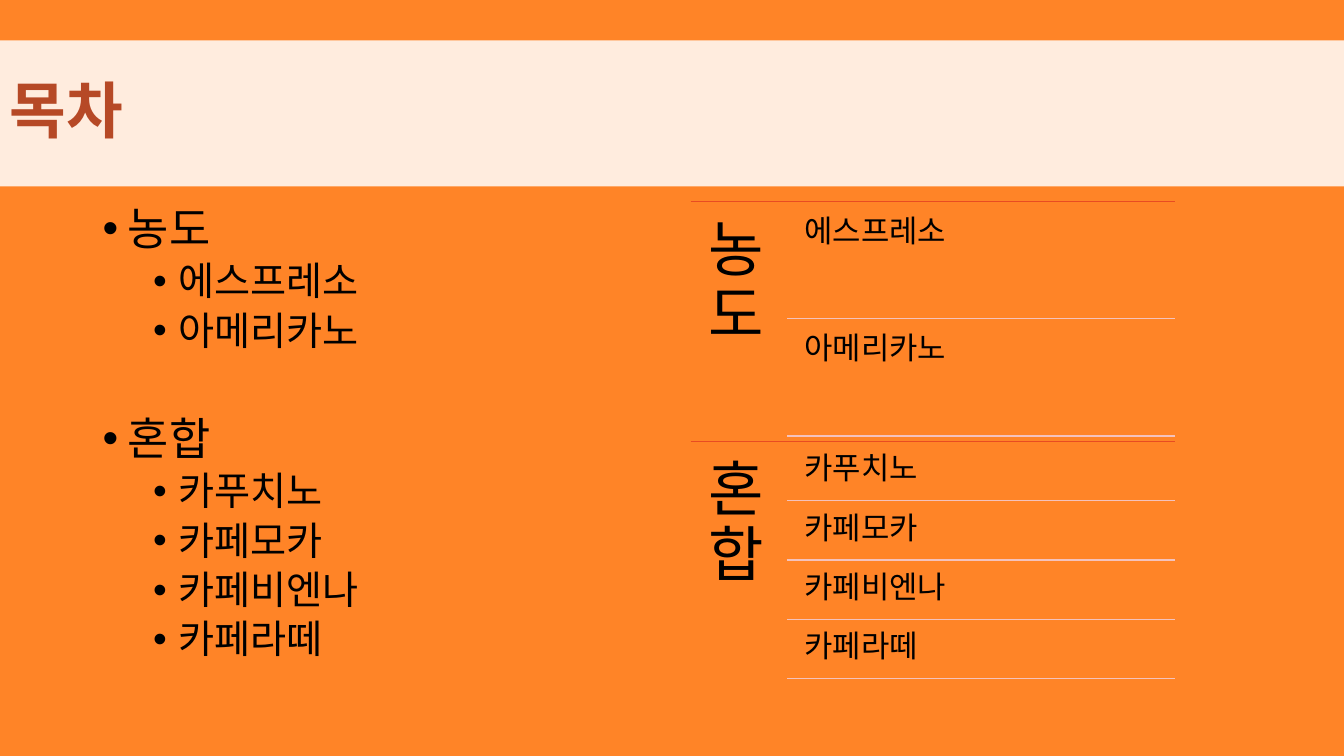
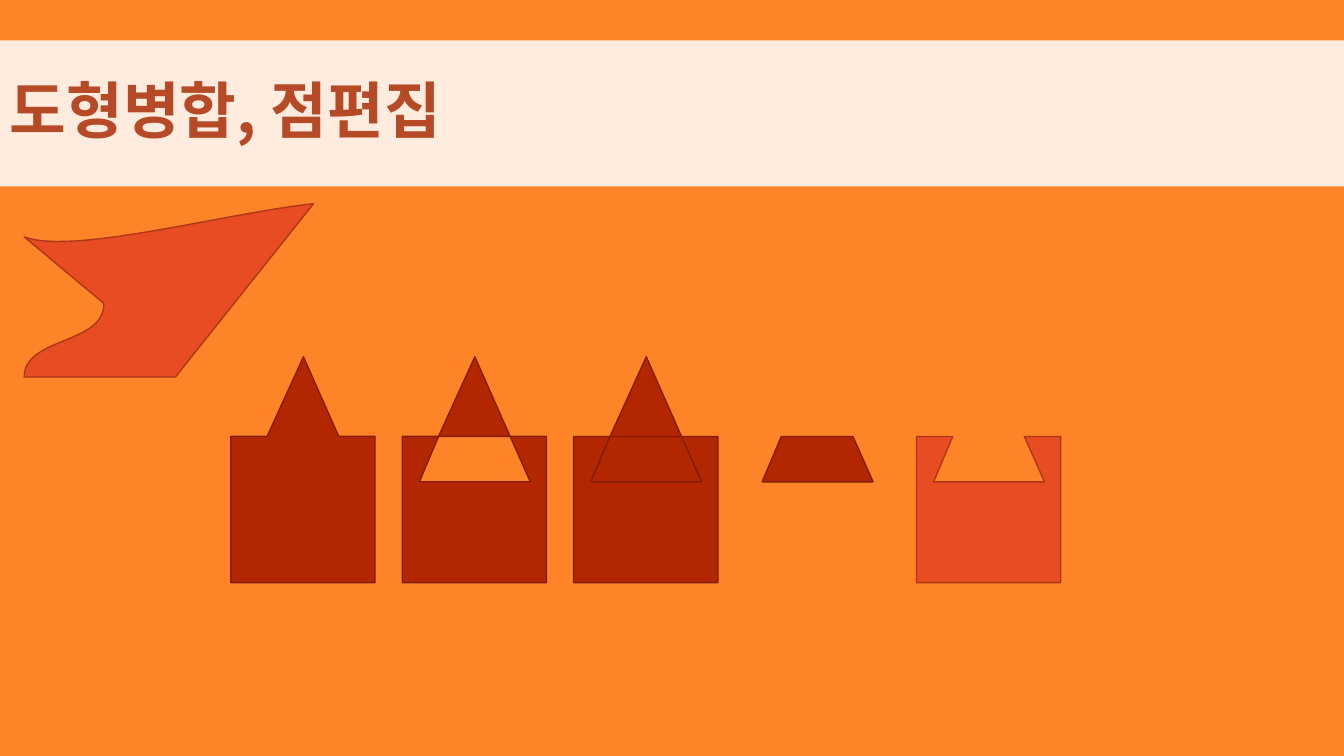
from lxml import etree
from pptx import Presentation
from pptx.dml.color import RGBColor
from pptx.enum import shapes, text
from pptx.oxml import ns
from pptx.util import Inches, Pt

FONT = "Noto Sans CJK KR"
ORANGE = RGBColor(0xFF, 0x84, 0x27)
WHITE = RGBColor(0xFF, 0xFF, 0xFF)
BLACK = RGBColor(0, 0, 0)
RUST = RGBColor(0xB6, 0x49, 0x26)
RED = RGBColor(0xE8, 0x4C, 0x22)
RED_EDGE = RGBColor(0xAC, 0x38, 0x19)
DARK = RGBColor(0xB2, 0x26, 0x00)
DARK_EDGE = RGBColor(0x84, 0x1C, 0x00)
PINK = RGBColor(0xF4, 0xC2, 0xBD)

SECTIONS = [
    ("농도", ["에스프레소", "아메리카노"]),
    ("혼합", ["카푸치노", "카페모카", "카페비엔나", "카페라떼"]),
]

# Triangle over a square, in inches from the corner of their common box
APEX = (0.72, 0)
SHOULDER_LEFT, SHOULDER_RIGHT = (0.36, 0.79), (1.07, 0.79)
BASE_LEFT, BASE_RIGHT = (0.17, 1.24), (1.27, 1.24)
TOP_LEFT, TOP_RIGHT = (0, 0.79), (1.43, 0.79)
BOTTOM_LEFT, BOTTOM_RIGHT = (0, 2.24), (1.43, 2.24)

TIP = [APEX, SHOULDER_RIGHT, SHOULDER_LEFT]
OVERLAP = [SHOULDER_LEFT, SHOULDER_RIGHT, BASE_RIGHT, BASE_LEFT]
NOTCHED = [TOP_LEFT, SHOULDER_LEFT, BASE_LEFT, BASE_RIGHT, SHOULDER_RIGHT,
           TOP_RIGHT, BOTTOM_RIGHT, BOTTOM_LEFT]
UNION = [APEX, SHOULDER_RIGHT, TOP_RIGHT, BOTTOM_RIGHT, BOTTOM_LEFT,
         TOP_LEFT, SHOULDER_LEFT]


# Shared helpers
def add_child(parent, tag, **attributes):
    return etree.SubElement(parent, ns.qn(tag), attributes)


def style_para(para, size, color, bold=False):
    para.line_spacing = 0.9
    font = para.font
    font.name, font.size, font.bold = FONT, Pt(size), bold
    font.color.rgb = color
    defaults = para._p.get_or_add_pPr().find(ns.qn("a:defRPr"))
    add_child(defaults, "a:ea", typeface=FONT)


def add_bullet(para, level):
    para.level = level
    properties = para._p.get_or_add_pPr()
    properties.set("marL", str(Inches(0.25 + 0.5 * level)))
    properties.set("indent", str(Inches(-0.25)))
    add_child(properties, "a:buFont", typeface="Arial")
    add_child(properties, "a:buChar", char="•")


def add_text_box(page, left, top, width, height):
    box = page.shapes.add_textbox(Inches(left), Inches(top), Inches(width), Inches(height))
    box.text_frame.word_wrap = True
    return box.text_frame


def add_label(page, left, top, width, height, words, size, inset):
    frame = add_text_box(page, left, top, width, height)
    frame.margin_left = frame.margin_right = Inches(inset)
    frame.margin_top = frame.margin_bottom = Inches(inset)
    frame.text = words
    style_para(frame.paragraphs[0], size, BLACK)


def add_rule(page, left, right, top, color):
    rule = page.shapes.add_connector(
        shapes.MSO_CONNECTOR.STRAIGHT, Inches(left), Inches(top), Inches(right), Inches(top))
    rule.line.color.rgb = color
    rule.line.width = Pt(1)
    add_child(rule._element.spPr, "a:effectLst")


def add_outline(page, left, top, contours, fill, edge):
    builder = None
    for contour in contours:
        points = [(Inches(left + x), Inches(top + y)) for x, y in contour]
        if builder is None:
            builder = page.shapes.build_freeform(*points[0])
        else:
            builder.move_to(*points[0])
        builder.add_line_segments(points[1:], close=True)
    outline = builder.convert_to_shape()
    outline.shadow.inherit = False
    outline.fill.solid()
    outline.fill.fore_color.rgb = fill
    outline.line.color.rgb = edge
    outline.line.width = Pt(1)


def curve(start, first, second, end, steps=24):
    """Points along a cubic curve, both ends included."""
    points = []
    for step in range(steps + 1):
        t = step / steps
        weights = ((1 - t) ** 3, 3 * t * (1 - t) ** 2, 3 * t * t * (1 - t), t ** 3)
        points.append(tuple(
            sum(w * value for w, value in zip(weights, axis))
            for axis in zip(start, first, second, end)))
    return points


def add_page(deck, title):
    page = deck.slides.add_slide(deck.slide_layouts[6])
    band = page.shapes.add_shape(
        shapes.MSO_SHAPE.RECTANGLE, 0, Inches(0.4), deck.slide_width, Inches(1.45))
    band.shadow.inherit = False
    band.fill.solid()
    band.fill.fore_color.rgb = WHITE
    color = band._element.spPr.find(ns.qn("a:solidFill"))[0]
    add_child(color, "a:alpha", val="85000")
    band.line.fill.background()
    frame = band.text_frame
    frame.vertical_anchor = text.MSO_ANCHOR.MIDDLE
    frame.text = title
    para = frame.paragraphs[0]
    para.alignment = text.PP_ALIGN.LEFT
    style_para(para, 44, RUST, bold=True)
    return page


# Contents slide
def add_contents_list(page, left, top, width, height):
    frame = add_text_box(page, left, top, width, height)
    entries = []
    for number, (heading, items) in enumerate(SECTIONS):
        entries.append((heading, 0, 32, 45 if number else 10))
        entries += [(item, 1, 28, 5) for item in items]
    for number, (words, level, size, before) in enumerate(entries):
        para = frame.add_paragraph() if number else frame.paragraphs[0]
        para.text = words
        add_bullet(para, level)
        style_para(para, size, BLACK)
        para.space_before = Pt(before)


def add_section(page, left, top, width, height, heading, items):
    right = left + width
    heading_width = 0.96
    item_left = left + heading_width + 0.08
    # Gaps above, between and below the items are 5% of an item
    item_height = height / (len(items) + 0.05 * (len(items) + 1))
    gap = 0.05 * item_height
    add_rule(page, left, right, top, RED)
    add_label(page, left, top, heading_width, height, heading, 43, 0.18)
    for row, item in enumerate(items):
        item_top = top + gap + row * (item_height + gap)
        add_label(page, item_left, item_top, right - item_left, item_height, item, 22, 0.09)
        add_rule(page, left + heading_width, right, item_top + item_height, PINK)


def build_contents(deck):
    page = add_page(deck, "목차")
    add_contents_list(page, 0.92, 2, 4.8, 4.76)
    height = 2.38
    for number, (heading, items) in enumerate(SECTIONS):
        add_section(page, 6.85, 2 + number * height, 4.8, height, heading, items)


# Merged shapes slide
def add_edited_shape(page, left, top):
    upper = curve((0, 0.33), (0.48, 0.51), (1.92, 0.11), (2.87, 0))
    lower = curve((0, 1.72), (0, 1.32), (0.8, 1.4), (0.79, 0.99))
    add_outline(page, left, top, [upper + [(1.5, 1.72)] + lower], RED, RED_EDGE)


def add_merged_shapes(page, left, top, pitch):
    # Each column holds outlines, and each outline one or more contours
    columns = [
        ([[UNION]], DARK, DARK_EDGE),
        ([[NOTCHED, TIP]], DARK, DARK_EDGE),
        ([[OVERLAP], [TIP], [NOTCHED]], DARK, DARK_EDGE),
        ([[OVERLAP]], DARK, DARK_EDGE),
        ([[NOTCHED]], RED, RED_EDGE),
    ]
    for column, (outlines, fill, edge) in enumerate(columns):
        for contours in outlines:
            add_outline(page, left + column * pitch, top, contours, fill, edge)


def build_merged_shapes(deck):
    page = add_page(deck, "도형병합, 점편집")
    add_edited_shape(page, 0.24, 2.02)
    add_merged_shapes(page, 2.29, 3.54, 1.7)


def main():
    deck = Presentation()
    deck.slide_width, deck.slide_height = Inches(13.33), Inches(7.5)
    background = deck.slide_master.background.fill
    background.solid()
    background.fore_color.rgb = ORANGE
    build_contents(deck)
    build_merged_shapes(deck)
    deck.save("out.pptx")


if __name__ == "__main__":
    main()
